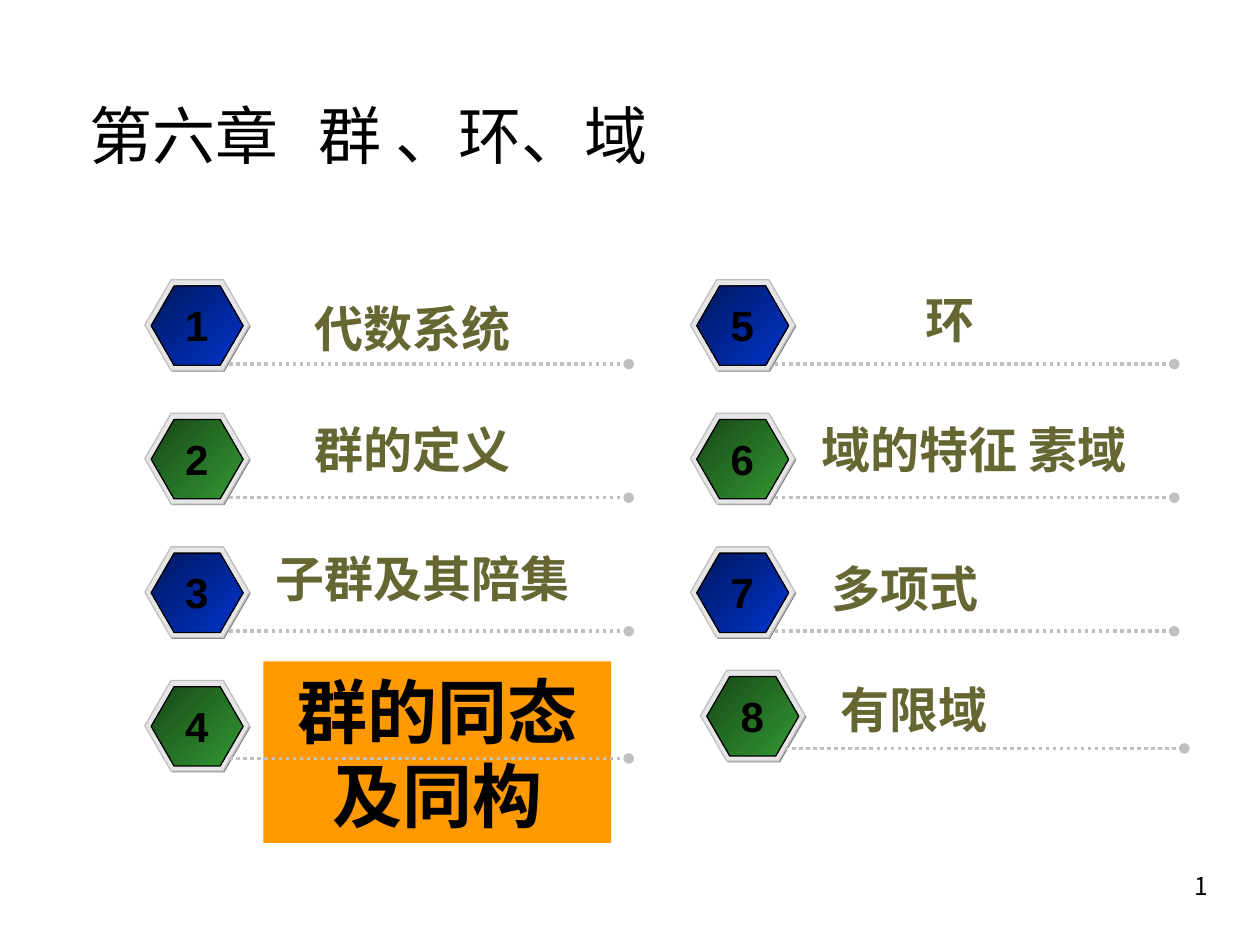
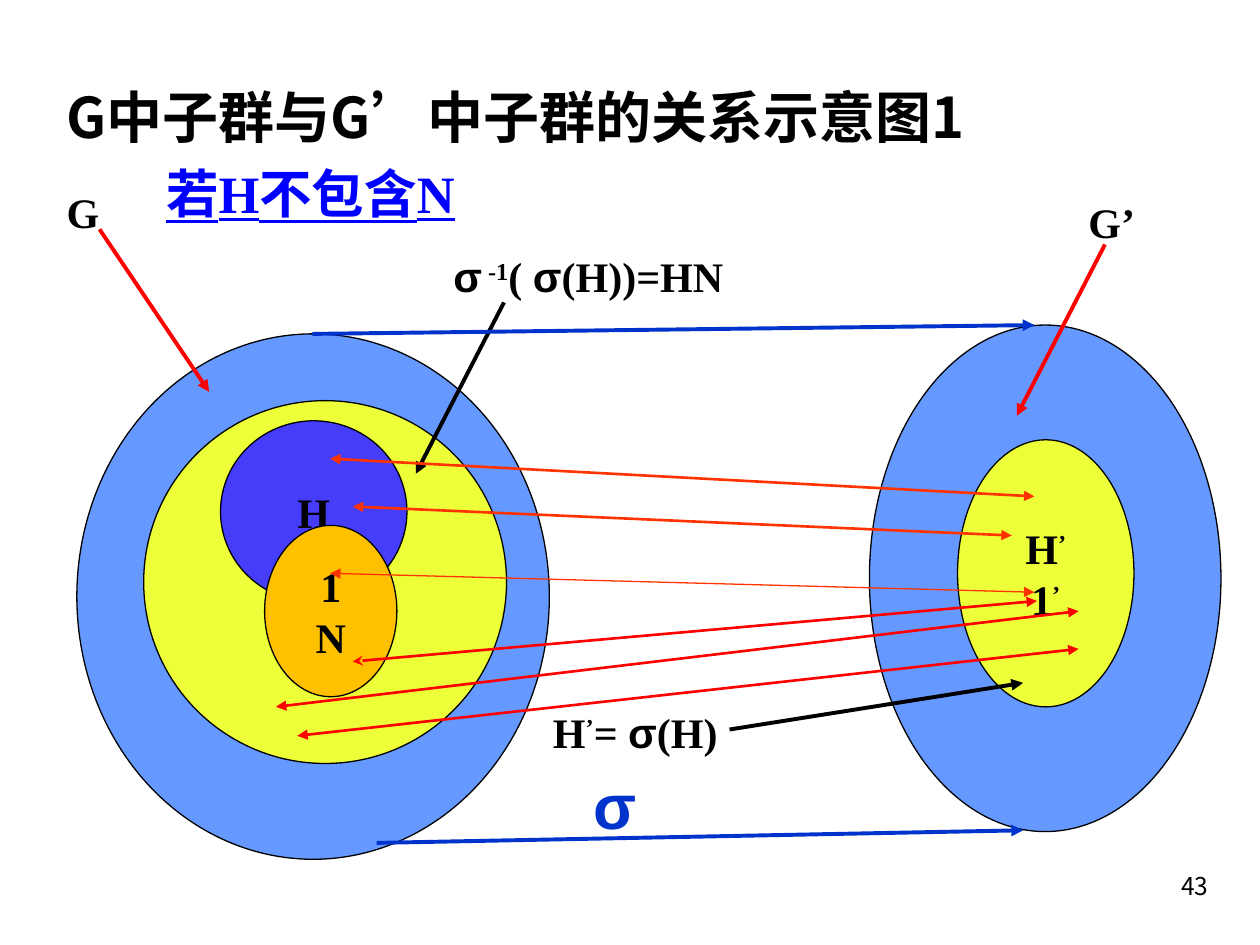
from lxml import etree
from pptx import Presentation
from pptx import util as u
from pptx.dml.color import RGBColor
from pptx.enum import dml, shapes, text
from pptx.oxml import ns

SANS, SERIF, CJK, PAGE_FONT = "Arial", "Times New Roman", "Noto Sans CJK SC", "Noto Sans CJK KR"
BLACK, SILVER, OLIVE, ORANGE = "000000", "C0C0C0", "666633", "FF9900"
BLUE, RED, VERMILION = "0033CC", "FF0000", "FF3300"
OUTER, IMAGE = "6699FF", "ECFF39"
NAVY_BLUE, DARK_GREEN = ("00185E", BLUE), ("184718", "339933")
LEFT, CENTER, RIGHT = text.PP_ALIGN.LEFT, text.PP_ALIGN.CENTER, text.PP_ALIGN.RIGHT
HEXAGON, ELLIPSE, RECTANGLE = (shapes.MSO_SHAPE.HEXAGON, shapes.MSO_SHAPE.OVAL,
                               shapes.MSO_SHAPE.RECTANGLE)
UP = {"baseline": "30000"}


def color(value):
    return RGBColor.from_string(value)


def sub(parent, tag, **attributes):
    return etree.SubElement(parent, ns.qn(tag), **attributes)


class Deck:
    def __init__(self):
        self.presentation = Presentation()
        self.presentation.slide_width = u.Inches(10)
        self.presentation.slide_height = u.Inches(7.5)
        self.slide = None

    def new_slide(self, number):
        self.slide = self.presentation.slides.add_slide(self.presentation.slide_layouts[6])
        self.label((7.61, 6.83, 2.08, 0.4), str(number), 14, PAGE_FONT, bold=False, align=RIGHT)

    def set_text(self, shape, content, size, font, fill=BLACK, bold=True, align=LEFT,
                 wrap=True, underline=None, tab=None):
        """Fill a shape; content is a string or paragraphs, each a list of (text, font, attributes)."""
        frame = shape.text_frame
        frame.word_wrap = wrap
        frame.vertical_anchor = text.MSO_ANCHOR.MIDDLE
        paragraphs = [[(content, None, {})]] if isinstance(content, str) else content
        for index, runs in enumerate(paragraphs):
            paragraph = frame.add_paragraph() if index else frame.paragraphs[0]
            paragraph.alignment = align
            if shape.shape_type == shapes.MSO_SHAPE_TYPE.AUTO_SHAPE:
                paragraph.line_spacing = u.Pt(round(size * 1.2))
            properties = paragraph._p.get_or_add_pPr()
            if tab:
                sub(sub(properties, "a:tabLst"), "a:tab", pos=str(u.Inches(tab)), algn="l")
            style = paragraph.font
            style.size, style.bold, style.underline = u.Pt(size), bold, underline
            style.color.rgb = color(fill)
            style.name = font
            sub(properties.find(ns.qn("a:defRPr")), "a:ea", typeface=CJK)
            for words, run_font, attributes in runs:
                run = paragraph.add_run()
                run.text = words
                if run_font:
                    run.font.name = run_font
                for key, value in attributes.items():
                    run._r.get_or_add_rPr().set(key, value)

    def label(self, box, content, size, font, **style):
        shape = self.slide.shapes.add_textbox(*map(u.Inches, box))
        self.set_text(shape, content, size, font, **style)

    def title(self, box, words, size, bold=False, tab=None):
        self.label(box, words, size, CJK, bold=bold, tab=tab)

    def shape(self, kind, box, fill, line=None):
        """Add a preset shape; a pair of colours as fill makes a diagonal gradient."""
        shape = self.slide.shapes.add_shape(kind, *map(u.Inches, box))
        shape.shadow.inherit = False
        if isinstance(fill, tuple):
            shape.fill.gradient()
            shape.fill.gradient_angle = 315
            for stop, value in zip(shape.fill.gradient_stops, fill):
                stop.color.rgb = color(value)
        else:
            shape.fill.solid()
            shape.fill.fore_color.rgb = color(fill)
        if line:
            shape.line.color.rgb = color(line)
            shape.line.width = u.Pt(0.75)
        else:
            shape.line.fill.background()
        return shape

    def line(self, start, end, stroke, width, head=None, tail="triangle", dash=None):
        connector = self.slide.shapes.add_connector(
            shapes.MSO_CONNECTOR.STRAIGHT, *map(u.Inches, (*start, *end)))
        connector.line.color.rgb = color(stroke)
        connector.line.width = u.Pt(width)
        if dash:
            connector.line.dash_style = dash
        outline = connector.line._get_or_add_ln()
        if head:
            sub(outline, "a:headEnd", type=head)
        sub(outline, "a:tailEnd", type=tail)
        sub(connector._element.spPr, "a:effectLst")

    def badge(self, left, top, number, gradient, line_drop):
        """Add a numbered hexagon with a dotted line running out to the right."""
        layers = (((0.01, 0.01, 0.83, 0.72), "808080", None),
                  ((0, 0, 0.83, 0.72), "E6E6E6", SILVER),
                  ((0.05, 0.05, 0.73, 0.63), gradient, BLACK))
        for (dx, dy, width, height), fill, line in layers:
            layer = self.shape(HEXAGON, (left + dx, top + dy, width, height), fill, line)
            layer.adjustments[0] = 0.289
        line_y = top + line_drop
        self.line((left + 0.67, line_y), (left + 3.84, line_y), SILVER, 2, tail="oval",
                  dash=dml.MSO_LINE.ROUND_DOT)
        self.label((left + 0.22, top + 0.11, 0.38, 0.5), str(number), 24, SANS,
                   align=CENTER, wrap=False)


def contents_slide(deck):
    deck.new_slide(1)
    deck.title((0.61, 0.58, 8.77, 0.97), "第六章\t群 、环、域", 36, tab=1.82)

    current = deck.shape(RECTANGLE, (2.09, 5.25, 2.76, 1.44), ORANGE)
    deck.set_text(current, "群的同态及同构", 40, CJK, align=CENTER)
    topics = (("代数系统", 2.4, 2.32, 1.83, LEFT), ("群的定义", 2.4, 3.28, 2.68, LEFT),
              ("子群及其陪集", 2.09, 4.3, 2.75, LEFT), ("环", 6.5, 2.25, 2.08, CENTER),
              ("域的特征 素域", 6.42, 3.28, 2.91, LEFT), ("多项式", 6.5, 4.38, 2.91, LEFT),
              ("有限域", 6.57, 5.34, 2.99, LEFT))
    for topic, left, top, width, align in topics:
        deck.label((left, top, width, 0.57), topic, 28, CJK, fill=OLIVE, align=align)

    for index in range(8):
        column, row = divmod(index, 4)
        left, top = 1.15 + 4.33 * column, 2.22 + 1.06 * row
        if index == 7:
            left, top = 5.56, 5.32
        deck.badge(left, top, index + 1, DARK_GREEN if row % 2 else NAVY_BLUE,
                   0.62 if row == 3 else 0.67)


def subgroup_slide(deck):
    deck.new_slide(43)
    deck.title((0.43, 0.44, 8.93, 0.97), "G中子群与G’中子群的关系示意图1", 32, bold=True)

    prime = ("’", None, UP)
    sets = (((0.61, 2.65, 3.75, 4.17), OUTER, None),
            ((6.9, 2.58, 2.79, 4.02), OUTER, None),
            ((1.14, 3.18, 2.88, 2.88), IMAGE, None),
            ((1.75, 3.34, 1.48, 1.44), "463DFB", "H"),
            ((2.1, 4.17, 1.05, 1.36), "FFC000", [[("1", None, {})], [("N", None, {})]]),
            ((7.6, 3.49, 1.4, 2.12), IMAGE, [[("H", None, {}), prime], [("1", None, {}), prime]]))
    for box, fill, members in sets:
        ellipse = deck.shape(ELLIPSE, box, fill, BLACK)
        if members:
            deck.set_text(ellipse, members, 24, SERIF, align=CENTER, wrap=False)

    pointers = (((0.79, 1.82), (1.66, 3.11), RED), ((4, 2.4), (3.3, 3.76), BLACK),
                ((5.79, 5.79), (8.12, 5.42), BLACK), ((2.48, 2.65), (8.21, 2.58), BLUE),
                ((2.99, 6.69), (8.12, 6.59), BLUE), ((8.77, 1.94), (8.07, 3.3), RED))
    for start, end, stroke in pointers:
        deck.line(start, end, stroke, 2.25)

    mappings = (((2.62, 3.64), (8.21, 3.94), VERMILION, 1.5, "triangle"),
                ((2.8, 4.02), (8.03, 4.25), VERMILION, 1.5, "triangle"),
                ((2.62, 4.55), (8.21, 4.7), VERMILION, 0.75, "triangle"),
                ((2.19, 5.61), (8.56, 4.85), RED, 1.5, "triangle"),
                ((2.36, 5.84), (8.56, 5.15), RED, 1.5, "triangle"),
                ((2.8, 5.25), (8.23, 4.77), RED, 1.5, "stealth"))
    for start, end, stroke, width, head in mappings:
        deck.line(start, end, stroke, width, head)

    sigma = ("σ", SANS, {})
    preimage = [[sigma, (" -1", None, UP), ("( ", None, {}), sigma, ("(H))=HN", None, {})]]
    image = [[("H", None, {}), prime, ("= ", None, {}), sigma, ("(H)", None, {})]]
    deck.label((1.22, 1.23, 3.47, 0.6), "若H不包含N", 30, SERIF, fill="0000FF", underline=True)
    for box, content in (((0.43, 1.43, 0.55, 0.5), "G"), ((8.54, 1.51, 0.79, 0.5), "G’"),
                         ((3.5, 1.94, 2.76, 0.5), preimage), ((4.29, 5.56, 1.81, 0.5), image)):
        deck.label(box, content, 24, SERIF)
    deck.label((4.61, 6.03, 1.13, 0.7), "σ", 36, SANS, fill=BLUE)


def main():
    deck = Deck()
    contents_slide(deck)
    subgroup_slide(deck)
    deck.presentation.save("out.pptx")


if __name__ == "__main__":
    main()
